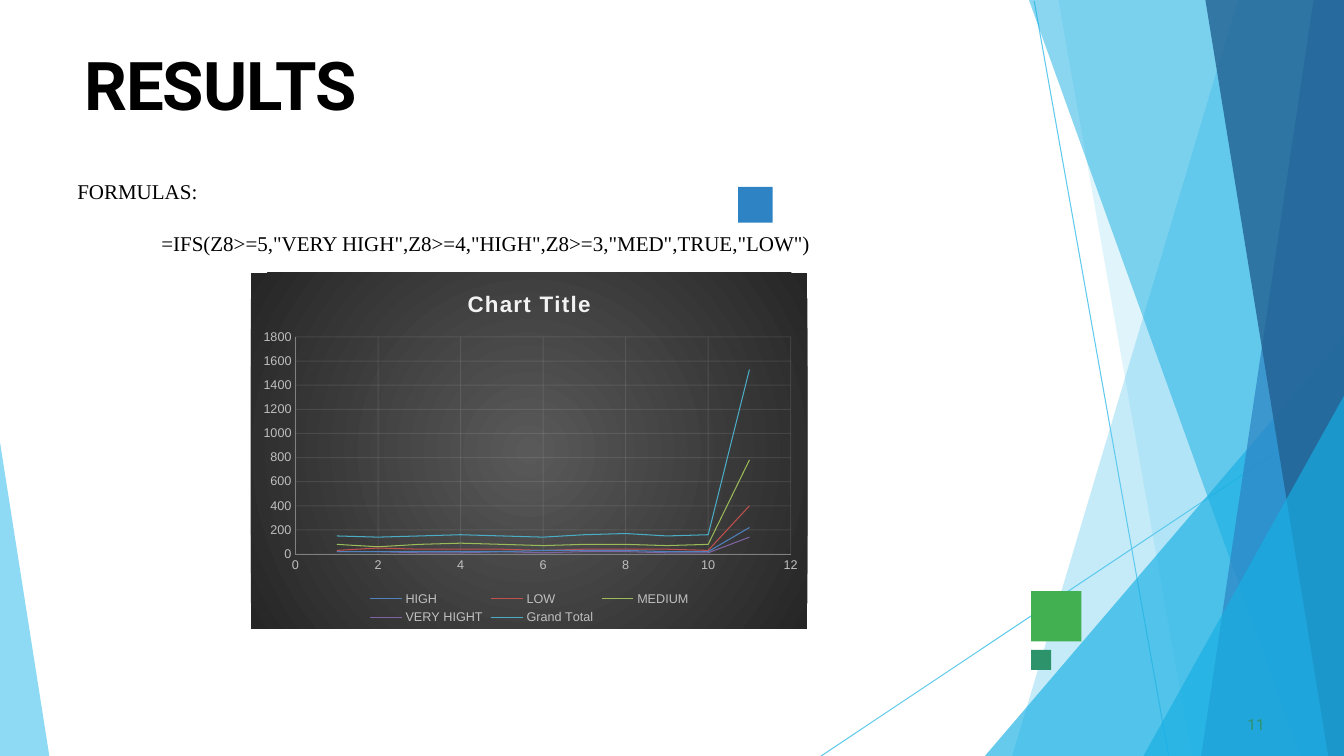
from dataclasses import dataclass

from lxml import etree
from pptx import Presentation
from pptx import util as u
from pptx.chart.data import XyChartData
from pptx.dml.color import RGBColor
from pptx.enum import chart as charts, shapes, text
from pptx.oxml import parse_xml
from pptx.oxml.ns import nsdecls, qn

PX = 9525  # EMU in one px
WIDTH, HEIGHT = 1280, 720


@dataclass(frozen=True)
class Theme:
    black: str = "000000"
    sky: str = "5FCAEE"
    cyan: str = "17AFE3"
    blue: str = "2D83C3"
    navy: str = "226192"
    green: str = "42AF51"
    teal: str = "2D936B"
    chart_title: str = "F2F2F2"
    chart_text: str = "BFBFBF"
    axis: str = "808080"
    chart_centre: str = "595959"
    chart_edge: str = "262626"
    heading_font: str = "Roboto"
    body_font: str = "Times New Roman"
    chart_font: str = "Arial"
    title_size: int = 48
    body_size: int = 15
    number_size: int = 11
    chart_title_size: int = 16
    label_size: int = 9
    hairline: float = 0.75


THEME = Theme()

# Facets on the slide edges: corner points, colour, opacity in percent
RIGHT_TOP, RIGHT_BOTTOM = (WIDTH, 0), (WIDTH, HEIGHT)
FACETS = [
    ([RIGHT_TOP, (1179, 0), (964, HEIGHT), RIGHT_BOTTOM], THEME.sky, 36),
    ([RIGHT_TOP, (1008, 0), (1135, HEIGHT), RIGHT_BOTTOM], THEME.sky, 20),
    ([(WIDTH, 320), (938, HEIGHT), RIGHT_BOTTOM], THEME.cyan, 66),
    ([RIGHT_TOP, (980, 0), (1239, HEIGHT), RIGHT_BOTTOM], THEME.cyan, 50),
    ([RIGHT_TOP, (1251, 0), (1144, HEIGHT), RIGHT_BOTTOM], THEME.blue, 70),
    ([RIGHT_TOP, (1148, 0), (1265, HEIGHT), RIGHT_BOTTOM], THEME.navy, 80),
    ([(WIDTH, 377), (1089, HEIGHT), RIGHT_BOTTOM], THEME.cyan, 66),
    ([(0, 421), (0, HEIGHT), (47, HEIGHT)], THEME.sky, 70),
]
RAYS = [(985, 1, 1113, HEIGHT), (WIDTH, 388, 782, HEIGHT)]
SQUARES = [
    (982, 563, 48, 48, THEME.green),
    (703, 178, 33, 34, THEME.blue),
    (982, 619, 19, 19, THEME.teal),
]
RATINGS = [
    ("HIGH", "4F81BD", [20, 20, 20, 20, 20, 30, 30, 30, 20, 20, 220]),
    ("LOW", "C0504D", [30, 50, 40, 40, 40, 30, 40, 40, 40, 30, 400]),
    ("MEDIUM", "9BBB59", [80, 60, 80, 90, 80, 70, 80, 80, 70, 80, 780]),
    ("VERY HIGHT", "8064A2", [20, 20, 10, 10, 20, 10, 20, 20, 10, 10, 140]),
    ("Grand Total", "4BACC6", [150, 140, 150, 160, 150, 140, 160, 170, 150, 160, 1530]),
]


def px(*lengths):
    return [u.Emu(length * PX) for length in lengths]


def set_font(font, name, size, color, bold=False):
    font.name, font.size, font.bold = name, u.Pt(size), bold
    font.color.rgb = RGBColor.from_string(color)


def set_line(line, color):
    line.color.rgb = RGBColor.from_string(color)
    line.width = u.Pt(THEME.hairline)


def set_opacity(element, percent):
    color = element.find(".//" + qn("a:srgbClr"))
    etree.SubElement(color, qn("a:alpha"), val=str(percent * 1000))


def paint(shape, color):
    shape.shadow.inherit = False
    shape.fill.solid()
    shape.fill.fore_color.rgb = RGBColor.from_string(color)
    shape.line.fill.background()


def add_ray(slide, *ends):
    ray = slide.shapes.add_connector(shapes.MSO_CONNECTOR.STRAIGHT, *px(*ends))
    set_line(ray.line, THEME.sky)
    etree.SubElement(ray.element.spPr, qn("a:effectLst"))


def add_facet(slide, points, color, opacity):
    builder = slide.shapes.build_freeform(*points[0], scale=PX)
    builder.add_line_segments(points[1:], close=True)
    facet = builder.convert_to_shape()
    paint(facet, color)
    set_opacity(facet.element, opacity)


def add_square(slide, left, top, width, height, color):
    square = slide.shapes.add_shape(
        shapes.MSO_SHAPE.RECTANGLE, *px(left, top, width, height))
    paint(square, color)


def place(shape, *box):
    shape.left, shape.top, shape.width, shape.height = px(*box)
    frame = shape.text_frame
    frame.word_wrap = True
    frame.auto_size = text.MSO_AUTO_SIZE.NONE
    frame.vertical_anchor = text.MSO_ANCHOR.TOP
    return frame


def clear_margins(frame):
    frame.margin_left = frame.margin_right = frame.margin_bottom = 0
    frame.margin_top = px(1)[0]


def fill_title(title):
    frame = place(title, 80, 40, 1121, 78)
    clear_margins(frame)
    frame.text = "RESULTS"
    paragraph = frame.paragraphs[0]
    paragraph.alignment = text.PP_ALIGN.LEFT
    paragraph.space_before = u.Pt(1)
    run = paragraph.runs[0]
    set_font(run.font, THEME.heading_font, THEME.title_size, THEME.black, bold=True)
    run.font._element.set("spc", "-60")


def fill_body(body):
    frame = place(body, 64, 165, 1152, 472)
    frame.text = ('FORMULAS:\n'
                  '=IFS(Z8>=5,"VERY HIGH",Z8>=4,"HIGH",Z8>=3,"MED",TRUE,"LOW")')
    for paragraph, indent, gap in zip(frame.paragraphs, (0, 80), (1, 19)):
        paragraph.space_before = u.Pt(gap)
        set_font(paragraph.runs[0].font, THEME.body_font, THEME.body_size, THEME.black)
        properties = paragraph._p.get_or_add_pPr()
        properties.set("marL", str(indent * PX))
        properties.set("indent", "0")
        etree.SubElement(properties, qn("a:buNone"))


def add_slide_number(slide):
    box = (1184, 680, 24, 17)
    frame = place(slide.shapes.add_textbox(*px(*box)), *box)
    clear_margins(frame)
    frame.text = "11"
    paragraph = frame.paragraphs[0]
    paragraph._p.get_or_add_pPr().set("marL", str(4 * PX))
    set_font(paragraph.runs[0].font, THEME.heading_font, THEME.number_size, THEME.teal)


def style_axis(axis, maximum, step):
    axis.minimum_scale, axis.maximum_scale, axis.major_unit = 0, maximum, step
    axis.major_tick_mark = axis.minor_tick_mark = charts.XL_TICK_MARK.NONE
    axis.has_major_gridlines = True
    set_line(axis.major_gridlines.format.line, THEME.chart_title)
    set_line(axis.format.line, THEME.axis)
    set_font(axis.tick_labels.font, THEME.chart_font, THEME.label_size, THEME.chart_text)


def style_chart_area(chart):
    # Radial background
    chart.element.find(qn("c:chart")).addnext(parse_xml(
        f'<c:spPr {nsdecls("c", "a")}><a:gradFill><a:gsLst>'
        f'<a:gs pos="0"><a:srgbClr val="{THEME.chart_centre}"/></a:gs>'
        f'<a:gs pos="100000"><a:srgbClr val="{THEME.chart_edge}"/></a:gs></a:gsLst>'
        '<a:path path="circle"><a:fillToRect l="50000" t="50000" r="50000" b="50000"/>'
        '</a:path></a:gradFill><a:ln><a:noFill/></a:ln></c:spPr>'))
    # Plot position as shares of the chart
    plot_area = chart.element.find(".//" + qn("c:plotArea"))
    for layout in plot_area.findall(qn("c:layout")):
        plot_area.remove(layout)
    plot_area.insert(0, parse_xml(
        f'<c:layout {nsdecls("c")}><c:manualLayout><c:layoutTarget val="inner"/>'
        '<c:xMode val="edge"/><c:yMode val="edge"/><c:x val="0.08"/><c:y val="0.18"/>'
        '<c:w val="0.89"/><c:h val="0.61"/></c:manualLayout></c:layout>'))
    for gridlines in plot_area.iter(qn("c:majorGridlines")):
        set_opacity(gridlines, 10)


def add_ratings_chart(slide):
    data = XyChartData()
    for name, _, values in RATINGS:
        series = data.add_series(name)
        for position, value in enumerate(values, start=1):
            series.add_data_point(position, value)
    chart = slide.shapes.add_chart(
        charts.XL_CHART_TYPE.XY_SCATTER_LINES_NO_MARKERS,
        *px(239, 260, 530, 339), data).chart
    set_font(chart.font, THEME.chart_font, THEME.label_size, THEME.chart_text)
    chart.plots[0].vary_by_categories = False
    for series, (_, color, _) in zip(chart.plots[0].series, RATINGS):
        series.smooth = False
        set_line(series.format.line, color)
    style_axis(chart.category_axis, 12, 2)
    style_axis(chart.value_axis, 1800, 200)

    # Title and legend
    title = chart.chart_title.text_frame
    title.text = "Chart Title"
    font = title.paragraphs[0].runs[0].font
    set_font(font, THEME.chart_font, THEME.chart_title_size, THEME.chart_title, bold=True)
    font._element.set("spc", "100")
    chart.has_legend = True
    chart.legend.position = charts.XL_LEGEND_POSITION.BOTTOM
    chart.legend.include_in_layout = False
    set_font(chart.legend.font, THEME.chart_font, THEME.label_size, THEME.chart_text)
    style_chart_area(chart)


def main():
    presentation = Presentation()
    presentation.slide_width, presentation.slide_height = px(WIDTH, HEIGHT)
    slide = presentation.slides.add_slide(presentation.slide_layouts[1])

    # Background decoration
    for ray in RAYS:
        add_ray(slide, *ray)
    for facet in FACETS:
        add_facet(slide, *facet)
    for square in SQUARES:
        add_square(slide, *square)

    # Content
    fill_title(slide.shapes.title)
    fill_body(slide.placeholders[1])
    add_slide_number(slide)
    add_ratings_chart(slide)
    presentation.save("out.pptx")


if __name__ == "__main__":
    main()
